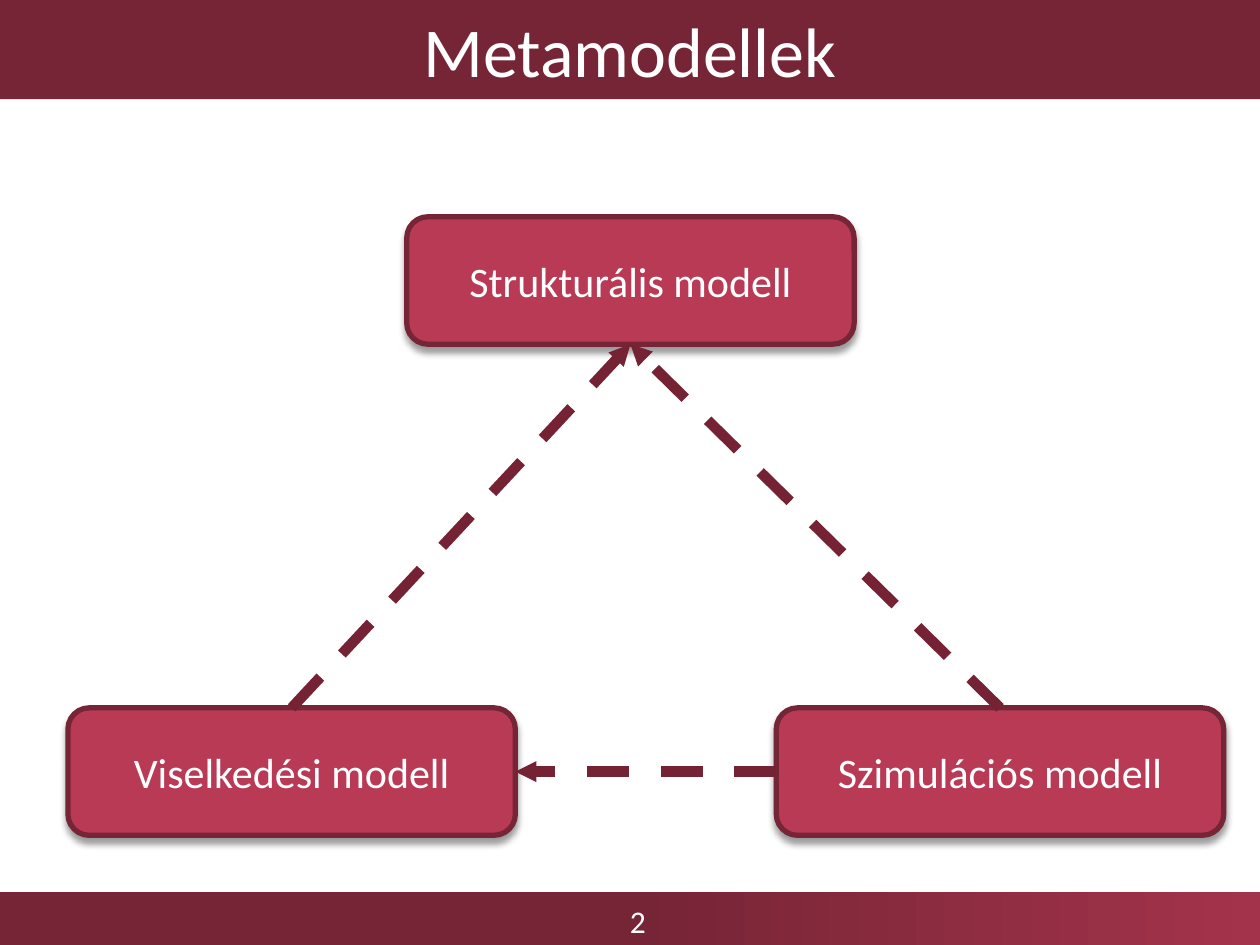
import lxml.etree
import pptx
import pptx.dml.color
import pptx.enum.dml
import pptx.enum.shapes
import pptx.enum.text
import pptx.oxml
import pptx.oxml.ns
import pptx.util
from pptx.util import Cm

DARK, RED, LIGHT, ARROW, WHITE = "762536", "B83A55", "A3334B", "752234", "FFFFFF"
NAMESPACE = pptx.oxml.ns.nsdecls("a")
SHAPES = pptx.enum.shapes.MSO_SHAPE


def paint(color_format, color):
    color_format.rgb = pptx.dml.color.RGBColor.from_string(color)


def write(shape, text, size):
    frame = shape.text_frame
    frame.text = text
    frame.word_wrap = True
    frame.vertical_anchor = pptx.enum.text.MSO_ANCHOR.MIDDLE
    paragraph = frame.paragraphs[0]
    paragraph.alignment = pptx.enum.text.PP_ALIGN.CENTER
    font = paragraph.runs[0].font
    font.name = "Calibri"
    font.size = pptx.util.Pt(size)
    paint(font.color, WHITE)


presentation = pptx.Presentation()
presentation.slide_width, presentation.slide_height = Cm(25.4), Cm(19.05)
slide = presentation.slides.add_slide(presentation.slide_layouts[6])
shapes = slide.shapes

# Footer band with gradient and slide number
footer = shapes.add_shape(SHAPES.RECTANGLE, 0, Cm(17.98), Cm(25.4), Cm(1.07))
footer.shadow.inherit = False
footer.line.fill.background()
footer.fill.gradient()
footer.fill.gradient_angle = 0
stops = footer.fill.gradient_stops
stops[0].position, stops[1].position = 0.5, 1
paint(stops[0].color, DARK)
paint(stops[1].color, LIGHT)
number = shapes.add_textbox(Cm(12.11), Cm(18.06), Cm(1.5), Cm(1.02))
write(number, "2", 18)

# Title band
title = shapes.add_shape(SHAPES.RECTANGLE, 0, 0, Cm(25.4), Cm(2))
title.shadow.inherit = False
title.line.fill.background()
title.fill.solid()
paint(title.fill.fore_color, DARK)
write(title, "Metamodellek", 40)

# Model boxes
models = {}
for name, left, top in [
    ("Strukturális modell", 8.2, 4.37),
    ("Viselkedési modell", 1.37, 14.27),
    ("Szimulációs modell", 15.65, 14.27),
]:
    box = shapes.add_shape(SHAPES.ROUNDED_RECTANGLE, Cm(left), Cm(top), Cm(9.02), Cm(2.57))
    box.fill.solid()
    paint(box.fill.fore_color, RED)
    paint(box.line.color, DARK)
    box.line.width = pptx.util.Pt(3)
    box.shadow.inherit = False
    effects = box._element.spPr.find(pptx.oxml.ns.qn("a:effectLst"))
    effects.append(pptx.oxml.parse_xml(
        f'<a:outerShdw {NAMESPACE} blurRad="50800" dist="38100" dir="5400000" rotWithShape="0">'
        '<a:srgbClr val="000000"><a:alpha val="40000"/></a:srgbClr></a:outerShdw>'))
    write(box, name, 24)
    models[name.split()[0]] = box

# Dashed arrows between connection sites
TOP, LEFT, BOTTOM, RIGHT = range(4)
for source, source_site, target, target_site in [
    ("Viselkedési", TOP, "Strukturális", BOTTOM),
    ("Szimulációs", LEFT, "Viselkedési", RIGHT),
    ("Szimulációs", TOP, "Strukturális", BOTTOM),
]:
    arrow = shapes.add_connector(pptx.enum.shapes.MSO_CONNECTOR.STRAIGHT, 0, 0, 0, 0)
    arrow.begin_connect(models[source], source_site)
    arrow.end_connect(models[target], target_site)
    paint(arrow.line.color, ARROW)
    arrow.line.width = pptx.util.Pt(6)
    arrow.line.dash_style = pptx.enum.dml.MSO_LINE.DASH
    properties = arrow._element.spPr
    line = properties.find(pptx.oxml.ns.qn("a:ln"))
    lxml.etree.SubElement(line, pptx.oxml.ns.qn("a:tailEnd"), type="triangle", w="sm", len="sm")
    lxml.etree.SubElement(properties, pptx.oxml.ns.qn("a:effectLst"))

presentation.save("out.pptx")
